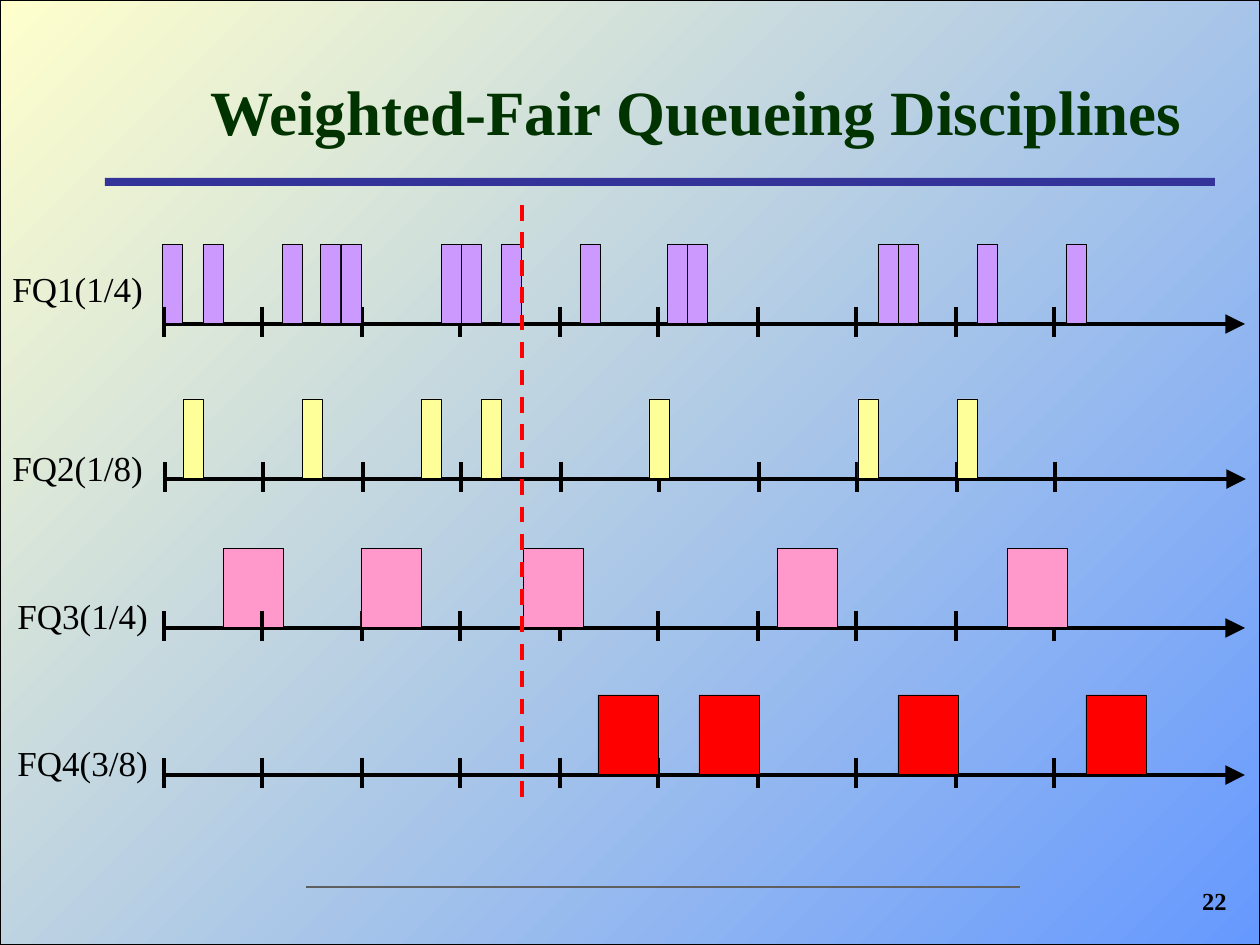
from dataclasses import dataclass

from lxml.etree import SubElement
from pptx import Presentation
from pptx.dml.color import RGBColor
from pptx.enum.dml import MSO_LINE
from pptx.enum.shapes import MSO_CONNECTOR, MSO_SHAPE
from pptx.enum.text import MSO_ANCHOR, MSO_AUTO_SIZE, PP_ALIGN
from pptx.oxml.ns import qn
from pptx.util import Emu, Pt

EMU_PER_PX = 914400 / 126
PAGE_BOX = (0, 0, 1260, 945)


@dataclass(frozen=True)
class Theme:
    """Colours, type sizes and line widths of the slide."""
    font: str = "Times New Roman"
    title_size: int = 36
    label_size: int = 20
    number_size: int = 14
    ink: str = "000000"
    title: str = "003300"
    rule: str = "333399"
    footer: str = "5F5F5F"
    cutoff: str = "FF0000"
    sky: str = "6699FF"
    cream: str = "FFFFCC"
    frame_width: float = 0.75
    packet_width: float = 0.25
    footer_width: float = 1.5
    axis_width: float = 2.25


@dataclass(frozen=True)
class Lane:
    """One queue: its label, timeline box and packets, some behind the ticks."""
    label: str
    label_box: tuple
    box: tuple
    color: str
    packet_width: int
    packets: tuple
    behind: int


THEME = Theme()
LANES = (
    Lane("FQ1(1/4)", (0, 261, 160, 55), (164, 244, 1081, 80), "CC99FF", 20,
         (-2, 39, 118, 156, 177, 277, 297, 337, 416, 503, 523, 714, 734, 813, 902), 1),
    Lane("FQ2(1/8)", (0, 440, 160, 55), (165, 399, 1081, 80), "FFFF99", 20,
         (18, 137, 256, 316, 484, 693, 792), 0),
    Lane("FQ3(1/4)", (5, 588, 160, 55), (164, 548, 1081, 80), "FF99CC", 60,
         (59, 197, 359, 613, 843), 1),
    Lane("FQ4(3/8)", (5, 735, 160, 55), (164, 695, 1081, 80), "FF0000", 60,
         (434, 535, 734, 922), 0),
)


def px(length):
    """Turn pixels into EMU."""
    return Emu(round(length * EMU_PER_PX))


def rgb(color):
    """Turn a hex string into a colour."""
    return RGBColor.from_string(color)


def add_block(page, box, color=None, line_width=None):
    """Add a rectangle with an optional solid fill and outline."""
    block = page.shapes.add_shape(MSO_SHAPE.RECTANGLE, *map(px, box))
    block.shadow.inherit = False
    if color:
        block.fill.solid()
        block.fill.fore_color.rgb = rgb(color)
    if line_width:
        block.line.color.rgb = rgb(THEME.ink)
        block.line.width = Pt(line_width)
    else:
        block.line.fill.background()
    return block


def add_line(page, start, end, color, width):
    """Add a straight line without a shadow."""
    line = page.shapes.add_connector(MSO_CONNECTOR.STRAIGHT, *map(px, start + end))
    line.line.color.rgb = rgb(color)
    line.line.width = Pt(width)
    SubElement(line._element.spPr, qn("a:effectLst"))
    return line


def add_text(page, box, text, size, color=THEME.ink, bold=False,
             align=PP_ALIGN.LEFT, anchor=MSO_ANCHOR.TOP, wrap=True):
    """Add a text box holding one run."""
    holder = page.shapes.add_textbox(*map(px, box))
    frame = holder.text_frame
    frame.word_wrap = wrap
    frame.vertical_anchor = anchor
    frame.auto_size = MSO_AUTO_SIZE.NONE if wrap else MSO_AUTO_SIZE.SHAPE_TO_FIT_TEXT
    para = frame.paragraphs[0]
    para.alignment = align
    span = para.add_run()
    span.text = text
    span.font.name = THEME.font
    span.font.size = Pt(size)
    span.font.bold = bold
    span.font.color.rgb = rgb(color)


def add_backdrop(page, box):
    """Fill the page with the framed diagonal gradient."""
    page.background.fill.solid()
    page.background.fill.fore_color.rgb = rgb(THEME.cream)
    backdrop = add_block(page, box, line_width=THEME.frame_width)
    backdrop.fill.gradient()
    backdrop.fill.gradient_angle = 135
    for stop, color in zip(backdrop.fill.gradient_stops, (THEME.sky, THEME.cream)):
        stop.color.rgb = rgb(color)


def add_header(page, box):
    """Place the title above its thick rule."""
    left, top, width, height = box
    add_block(page, (left, top + height - 8, width, 8), THEME.rule)
    add_text(page, (left + 69, top, width - 66, 136), "Weighted-Fair Queueing Disciplines",
             THEME.title_size, THEME.title, True, PP_ALIGN.CENTER, MSO_ANCHOR.MIDDLE)


def add_packets(page, lane, offsets):
    """Stand packets on the lane's timeline."""
    left, top, _, height = lane.box
    for offset in offsets:
        add_block(page, (left + offset, top, lane.packet_width, height - 1),
                  lane.color, THEME.packet_width)


def add_lane(page, lane):
    """Draw a queue's label, timeline, ticks and packets."""
    left, top, width, height = lane.box
    axis = top + height
    timeline = add_line(page, (left, axis), (left + width, axis), THEME.ink, THEME.axis_width)
    SubElement(timeline.line._get_or_add_ln(), qn("a:tailEnd"),
               type="triangle", w="lg", len="lg")
    add_packets(page, lane, lane.packets[:lane.behind])
    for tick in range(10):
        across = left + 99 * tick - tick % 2
        add_line(page, (across, axis - 17), (across, axis + 13), THEME.ink, THEME.axis_width)
    add_packets(page, lane, lane.packets[lane.behind:])
    add_text(page, lane.label_box, lane.label, THEME.label_size, wrap=False)


def add_cutoff(page, box):
    """Draw the dashed moment that crosses all lanes."""
    left, top, _, height = box
    cutoff = add_line(page, (left, top), (left, top + height), THEME.cutoff, THEME.axis_width)
    cutoff.line.dash_style = MSO_LINE.DASH


def add_footer(page, box):
    """Place the thin footer line and the page number."""
    left, top, width, height = box
    add_line(page, (left, top + 7), (left + 714, top + 7), THEME.footer, THEME.footer_width)
    add_text(page, (left + width - 136, top, 136, height), "22",
             THEME.number_size, bold=True, align=PP_ALIGN.RIGHT)


def main():
    """Build the slide and save it."""
    deck = Presentation()
    deck.slide_width, deck.slide_height = map(px, PAGE_BOX[2:])
    page = deck.slides.add_slide(deck.slide_layouts[6])
    add_backdrop(page, PAGE_BOX)
    add_header(page, (105, 42, 1110, 144))
    for lane in LANES:
        add_lane(page, lane)
    add_cutoff(page, (522, 205, 0, 595))
    add_footer(page, (306, 880, 933, 63))
    deck.save("out.pptx")


if __name__ == "__main__":
    main()
